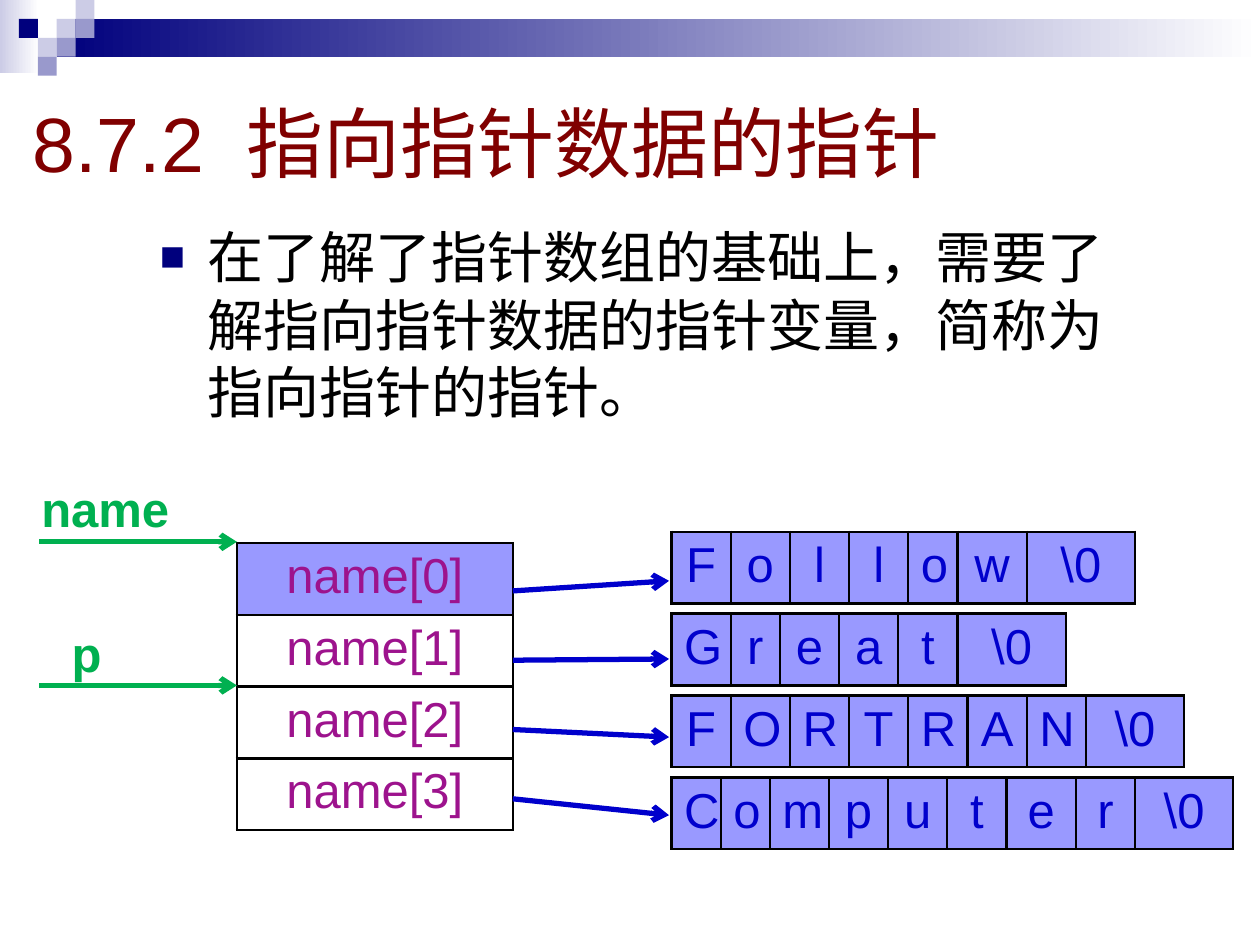
from lxml import etree
from pptx import Presentation
from pptx.dml.color import RGBColor
from pptx.enum.shapes import MSO_CONNECTOR, MSO_SHAPE
from pptx.enum.text import MSO_ANCHOR, PP_ALIGN
from pptx.oxml.ns import qn
from pptx.util import Inches, Pt

STRAIGHT = MSO_CONNECTOR.STRAIGHT
RECTANGLE = MSO_SHAPE.RECTANGLE
MIDDLE = MSO_ANCHOR.MIDDLE
LEFT, CENTER = PP_ALIGN.LEFT, PP_ALIGN.CENTER

FONT = "Arial"
NAVY = RGBColor(0x00, 0x00, 0x7D)
LAVENDER = RGBColor(0xCC, 0xCC, 0xE6)
MAUVE = RGBColor(0x99, 0x99, 0xCC)
WHITE = RGBColor(0xFF, 0xFF, 0xFF)
BLACK = RGBColor(0x00, 0x00, 0x00)
MAROON = RGBColor(0x80, 0x00, 0x00)
PERIWINKLE = RGBColor(0x99, 0x99, 0xFF)
BLUE = RGBColor(0x00, 0x00, 0xCC)
PURPLE = RGBColor(0x9D, 0x13, 0x8D)
GREEN = RGBColor(0x00, 0xB0, 0x50)

ROW_HEIGHT = 0.57
STRINGS = [
    (["F", "o", "l", "l", "o", "w", "\\0"], [0.47, 0.47, 0.47, 0.47, 0.39, 0.55, 0.86]),
    (["G", "r", "e", "a", "t", "\\0"], [0.47, 0.39, 0.47, 0.47, 0.47, 0.86]),
    (["F", "O", "R", "T", "R", "A", "N", "\\0"], [0.47] * 7 + [0.78]),
    (["C", "o", "m", "p", "u", "t", "e", "r", "\\0"],
     [0.39, 0.39, 0.47, 0.47, 0.47, 0.47, 0.55, 0.47, 0.78]),
]


def add_span(para, text, size, color, bold=False):
    """Append a formatted run to a paragraph."""
    span = para.add_run()
    span.text = text
    span.font.name = FONT
    span.font.size = Pt(size)
    span.font.bold = bold
    span.font.color.rgb = color
    return span


def add_block(page, left, top, width, height, color, fade=False):
    """Draw a borderless rectangle, optionally fading to white."""
    block = page.shapes.add_shape(
        RECTANGLE, Inches(left), Inches(top), Inches(width), Inches(height))
    block.shadow.inherit = False
    block.line.fill.background()
    if fade:
        block.fill.gradient()
        block.fill.gradient_angle = 0
        for stop, shade in zip(block.fill.gradient_stops, (color, WHITE)):
            stop.color.rgb = shade
    else:
        block.fill.solid()
        block.fill.fore_color.rgb = color


def add_header(page, left, top, width):
    """Draw the fading band and the checkered squares."""
    unit = 0.15
    add_block(page, left, top, 0.31, 0.58, LAVENDER, fade=True)
    add_block(page, left + 3 * unit, top + unit, width - 3 * unit, 2 * unit, NAVY, fade=True)
    squares = [(3, 1, LAVENDER), (4, 0, LAVENDER), (4, 1, MAUVE), (2, 2, LAVENDER),
               (1, 1, NAVY), (3, 2, MAUVE), (2, 3, MAUVE)]
    for column, row, color in squares:
        add_block(page, left + column * unit, top + row * unit, unit, unit, color)


def add_title(page, left, top, width, height):
    """Place and fill the title placeholder."""
    title = page.shapes.title
    title.left, title.top = Inches(left), Inches(top)
    title.width, title.height = Inches(width), Inches(height)
    title.text_frame.vertical_anchor = MIDDLE
    para = title.text_frame.paragraphs[0]
    para.alignment = LEFT
    add_span(para, "8.7.2", 44, MAROON)
    gap = add_span(para, " ", 44, MAROON)
    gap._r.get_or_add_rPr().set("spc", "1200")
    add_span(para, "指向指针数据的指针", 44, MAROON)


def add_text_box(page, left, top, width, height):
    """Add a wrapping text box and return its first paragraph."""
    box = page.shapes.add_textbox(Inches(left), Inches(top), Inches(width), Inches(height))
    box.text_frame.word_wrap = True
    return box.text_frame.paragraphs[0]


def add_body(page, left, top, width, height):
    """Add the bulleted explanation."""
    para = add_text_box(page, left, top, width, height)
    properties = para._p.get_or_add_pPr()
    properties.set("marL", str(Inches(0.38)))
    properties.set("indent", str(-Inches(0.38)))
    bullet_color = etree.SubElement(properties, qn("a:buClr"))
    etree.SubElement(bullet_color, qn("a:srgbClr"), val=str(NAVY))
    etree.SubElement(properties, qn("a:buSzPct"), val="75000")
    etree.SubElement(properties, qn("a:buFont"), typeface=FONT)
    etree.SubElement(properties, qn("a:buChar"), char="■")
    add_span(para, "在了解了指针数组的基础上，需要了解指向指针数据的指针变量，"
                   "简称为指向指针的指针。", 32, BLACK)


def fill_cell(cell, text, text_color, fill_color):
    """Set the borders, fill and centred text of a table cell."""
    properties = cell._tc.get_or_add_tcPr()
    for side in ("a:lnL", "a:lnR", "a:lnT", "a:lnB"):
        border = etree.SubElement(properties, qn(side), w=str(Pt(1.47)))
        solid = etree.SubElement(border, qn("a:solidFill"))
        etree.SubElement(solid, qn("a:srgbClr"), val=str(BLACK))
    cell.fill.solid()
    cell.fill.fore_color.rgb = fill_color
    para = cell.text_frame.paragraphs[0]
    para.alignment = CENTER
    add_span(para, text, 28, text_color)


def add_grid(page, left, top, widths, rows, text_color, fills):
    """Add a table with one fill colour for each row."""
    table = page.shapes.add_table(
        len(rows), len(widths), Inches(left), Inches(top),
        Inches(sum(widths)), Inches(ROW_HEIGHT * len(rows))).table
    table.first_row = table.horz_banding = False
    for column, width in zip(table.columns, widths):
        column.width = Inches(width)
    for r, (texts, fill_color) in enumerate(zip(rows, fills)):
        table.rows[r].height = Inches(ROW_HEIGHT)
        for c, text in enumerate(texts):
            fill_cell(table.cell(r, c), text, text_color, fill_color)


def add_arrow(page, x1, y1, x2, y2, color):
    """Draw a straight line with an open arrowhead at its end."""
    arrow = page.shapes.add_connector(
        STRAIGHT, Inches(x1), Inches(y1), Inches(x2), Inches(y2))
    arrow.line.color.rgb = color
    arrow.line.width = Pt(3)
    etree.SubElement(arrow.line._get_or_add_ln(), qn("a:tailEnd"), type="arrow")
    etree.SubElement(arrow._element.spPr, qn("a:effectLst"))


def add_strings(page, left, top):
    """Stack the character tables at an equal pitch."""
    for i, (letters, widths) in enumerate(STRINGS):
        add_grid(page, left, top + 0.65 * i, widths, [letters], BLUE, [PERIWINKLE])


def add_pointer_array(page, left, top, width, target):
    """Add the pointer array and its arrows to the strings."""
    names = [[f"name[{i}]"] for i in range(len(STRINGS))]
    add_grid(page, left, top, [width], names, PURPLE, [PERIWINKLE] + [WHITE] * 3)
    for i in range(len(STRINGS)):
        add_arrow(page, left + width, top + 0.38 + 0.55 * i,
                  target, top + 0.3 + 0.62 * i, BLUE)


def add_pointer(page, text, left, top, width, arrow_y):
    """Add a pointer label and the arrow below it."""
    para = add_text_box(page, left, top, width, ROW_HEIGHT)
    add_span(para, text, 28, GREEN, bold=True)
    add_arrow(page, 0.31, arrow_y, 1.88, arrow_y, GREEN)


def main():
    """Build and save the slide."""
    deck = Presentation()
    deck.slide_width, deck.slide_height = Inches(10), Inches(7.5)
    page = deck.slides.add_slide(deck.slide_layouts[5])
    add_header(page, 0, 0, 10)
    add_title(page, 0.16, 0.71, 9.69, 0.83)
    add_body(page, 1.17, 1.72, 7.97, 2.11)
    add_strings(page, 5.33, 4.22)
    add_pointer_array(page, 1.88, 4.31, 2.19, 5.31)
    add_pointer(page, "name", 0.23, 3.75, 1.48, 4.3)
    add_pointer(page, "p", 0.47, 4.9, 0.7, 5.44)
    deck.save("out.pptx")


if __name__ == "__main__":
    main()
